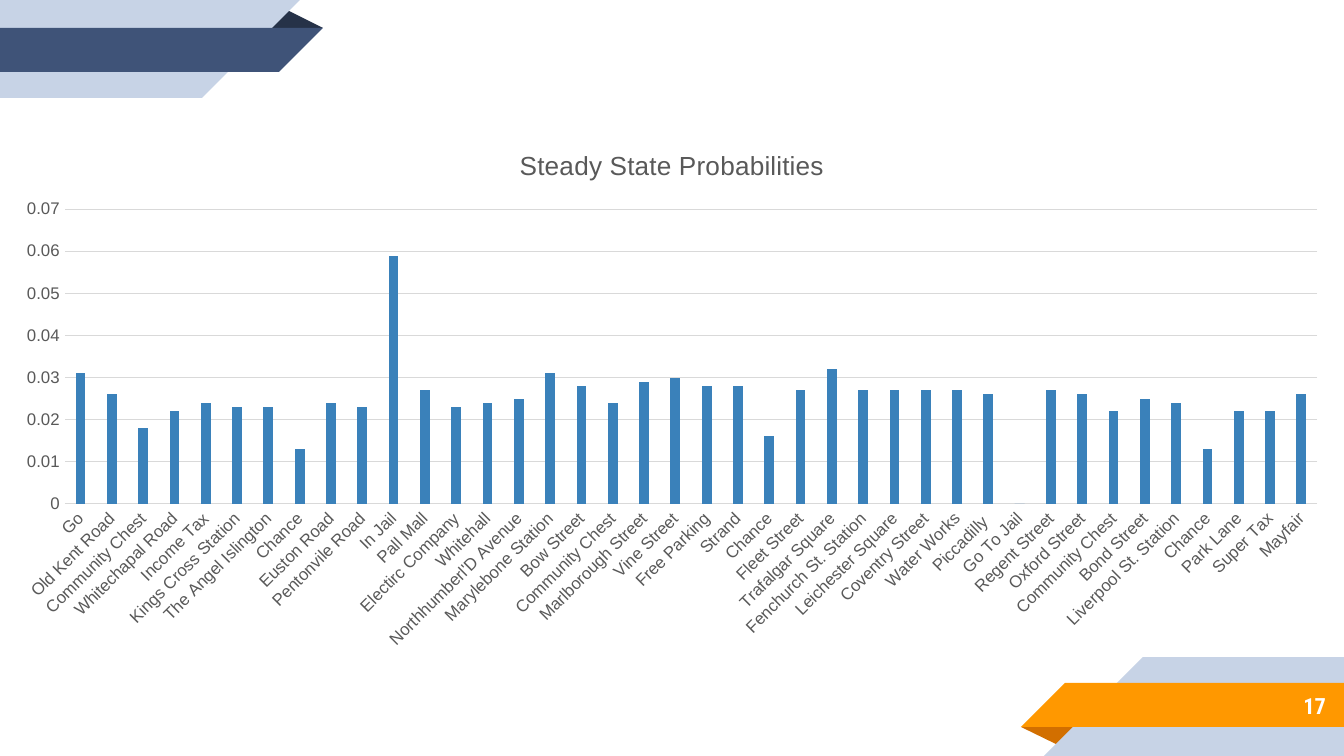
import pptx
import pptx.util
import pptx.chart.data
import pptx.dml.color
import pptx.enum.chart
import pptx.enum.text

PX = 914400 / 134.4


def px(n):
    return pptx.util.Emu(round(n * PX))


def hue(code):
    return pptx.dml.color.RGBColor.from_string(code)


deck = pptx.Presentation()
deck.slide_width, deck.slide_height = px(1344), px(756)
slide = deck.slides.add_slide(deck.slide_layouts[6])

bands = [
    ("D26F00", [(1021, 727), (1079, 727), (1060, 746)]),
    ("C7D3E6", [(1044, 756), (1143, 657), (1344, 657), (1344, 756)]),
    ("FF9800", [(1021, 727), (1065, 683), (1344, 683), (1344, 727)]),
    ("263248", [(266, 28), (285, 9), (323, 28)]),
    ("C7D3E6", [(0, 0), (300, 0), (202, 98), (0, 98)]),
    ("3F5378", [(0, 28), (323, 28), (279, 72), (0, 72)]),
]
for code, points in bands:
    pen = slide.shapes.build_freeform(*points[0], scale=PX)
    pen.add_line_segments(points[1:], close=True)
    band = pen.convert_to_shape()
    band.shadow.inherit = False
    band.fill.solid()
    band.fill.fore_color.rgb = hue(code)
    band.line.fill.background()

box = slide.shapes.add_textbox(px(1120), px(682), px(219), px(47))
frame = box.text_frame
frame.word_wrap = True
frame.vertical_anchor = pptx.enum.text.MSO_ANCHOR.MIDDLE
frame.margin_left = frame.margin_right = px(13)
frame.margin_top = frame.margin_bottom = px(13)
line = frame.paragraphs[0]
line.text = "17"
line.alignment = pptx.enum.text.PP_ALIGN.RIGHT
line.font.name = "Roboto Condensed"
line.font.size = pptx.util.Pt(12)
line.font.bold = True
line.font.color.rgb = hue("FFFFFF")

odds = [
    ("Go", 0.031), ("Old Kent Road", 0.026), ("Community Chest", 0.018),
    ("Whitechapal Road", 0.022), ("Income Tax", 0.024),
    ("Kings Cross Station", 0.023), ("The Angel Islington", 0.023),
    ("Chance", 0.013), ("Euston Road", 0.024), ("Pentonvile Road", 0.023),
    ("In Jail", 0.059), ("Pall Mall", 0.027), ("Electirc Company", 0.023),
    ("Whitehall", 0.024), ("Northhumberl'D Avenue", 0.025),
    ("Marylebone Station", 0.031), ("Bow Street", 0.028),
    ("Community Chest", 0.024), ("Marlborough Street", 0.029),
    ("Vine Street", 0.03), ("Free Parking", 0.028), ("Strand", 0.028),
    ("Chance", 0.016), ("Fleet Street", 0.027), ("Trafalgar Square", 0.032),
    ("Fenchurch St. Station", 0.027), ("Leichester Square", 0.027),
    ("Coventry Street", 0.027), ("Water Works", 0.027),
    ("Piccadilly ", 0.026), ("Go To Jail", 0), ("Regent Street", 0.027),
    ("Oxford Street", 0.026), ("Community Chest", 0.022),
    ("Bond Street", 0.025), ("Liverpool St. Station", 0.024),
    ("Chance", 0.013), ("Park Lane", 0.022), ("Super Tax", 0.022),
    ("Mayfair", 0.026),
]
data = pptx.chart.data.CategoryChartData()
data.categories = [name for name, value in odds]
data.add_series("Series 1", [value for name, value in odds])
chart = slide.shapes.add_chart(
    pptx.enum.chart.XL_CHART_TYPE.COLUMN_CLUSTERED,
    px(0), px(126), px(1344), px(534), data).chart
chart.has_legend = False
chart.font.name = "Arial"
chart.font.size = pptx.util.Pt(10)

chart.has_title = True
chart.chart_title.include_in_layout = False
head = chart.chart_title.text_frame.paragraphs[0]
head.text = "Steady State Probabilities"
head.font.name = "Arial"
head.font.size = pptx.util.Pt(14)
head.font.bold = False
head.font.color.rgb = hue("595959")

plot = chart.plots[0]
plot.gap_width = 219
plot.overlap = -27
plot.vary_by_categories = False
bars = plot.series[0]
bars.invert_if_negative = False
bars.format.fill.solid()
bars.format.fill.fore_color.rgb = hue("3A81BA")

base, side = chart.category_axis, chart.value_axis
for axis in (base, side):
    axis.major_tick_mark = pptx.enum.chart.XL_TICK_MARK.NONE
    axis.minor_tick_mark = pptx.enum.chart.XL_TICK_MARK.NONE
    font = axis.tick_labels.font
    font.name = "Arial"
    font.size = pptx.util.Pt(9)
    font.color.rgb = hue("595959")
side.minimum_scale, side.maximum_scale, side.major_unit = 0, 0.07, 0.01
side.tick_labels.number_format = "General"
side.tick_labels.number_format_is_linked = False
side.has_major_gridlines = True
side.format.line.fill.background()
for rule in (base.format.line, side.major_gridlines.format.line):
    rule.color.rgb = hue("D9D9D9")
    rule.width = pptx.util.Pt(0.75)
base._element.txPr.bodyPr.set("rot", "-2700000")

deck.save("out.pptx")
